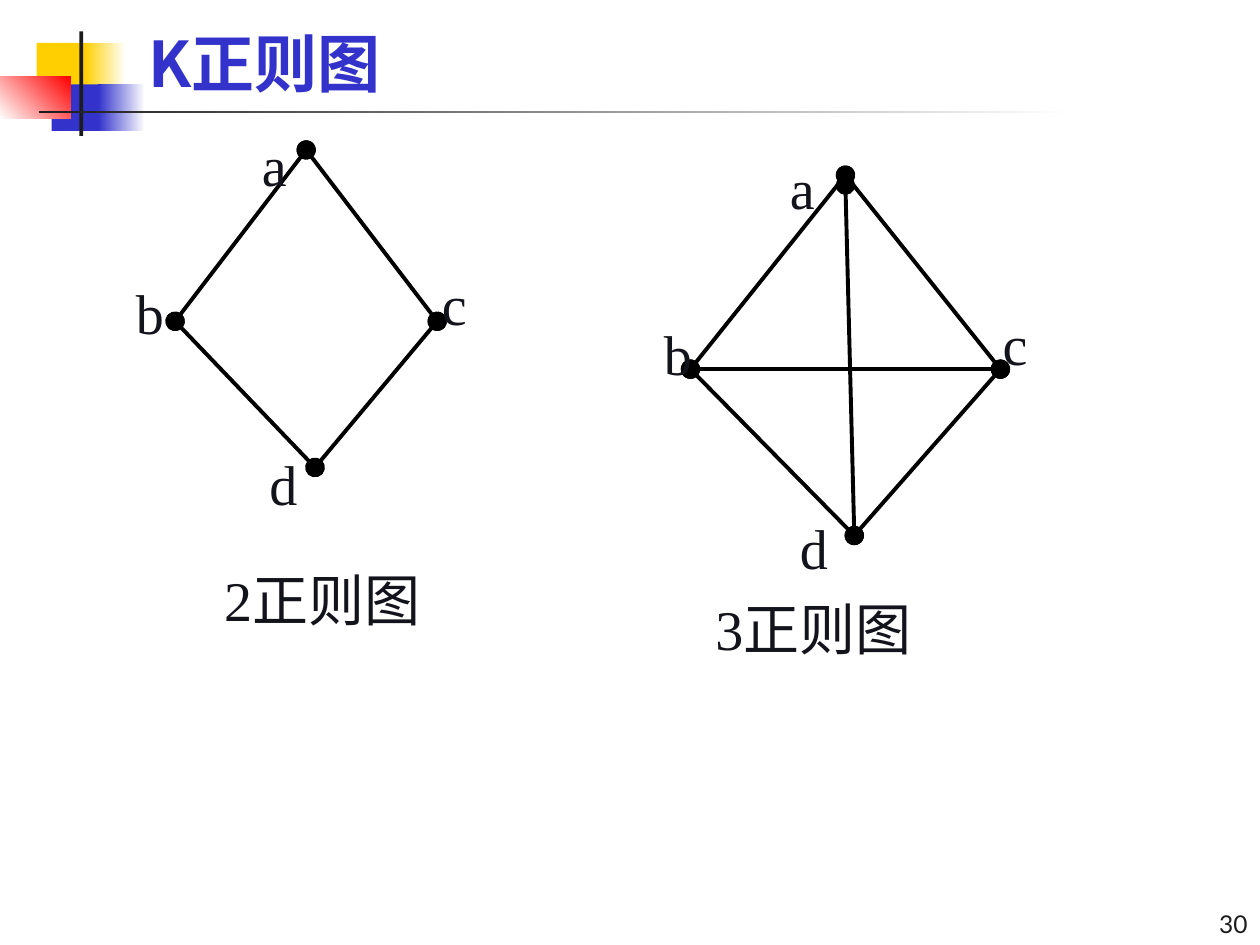
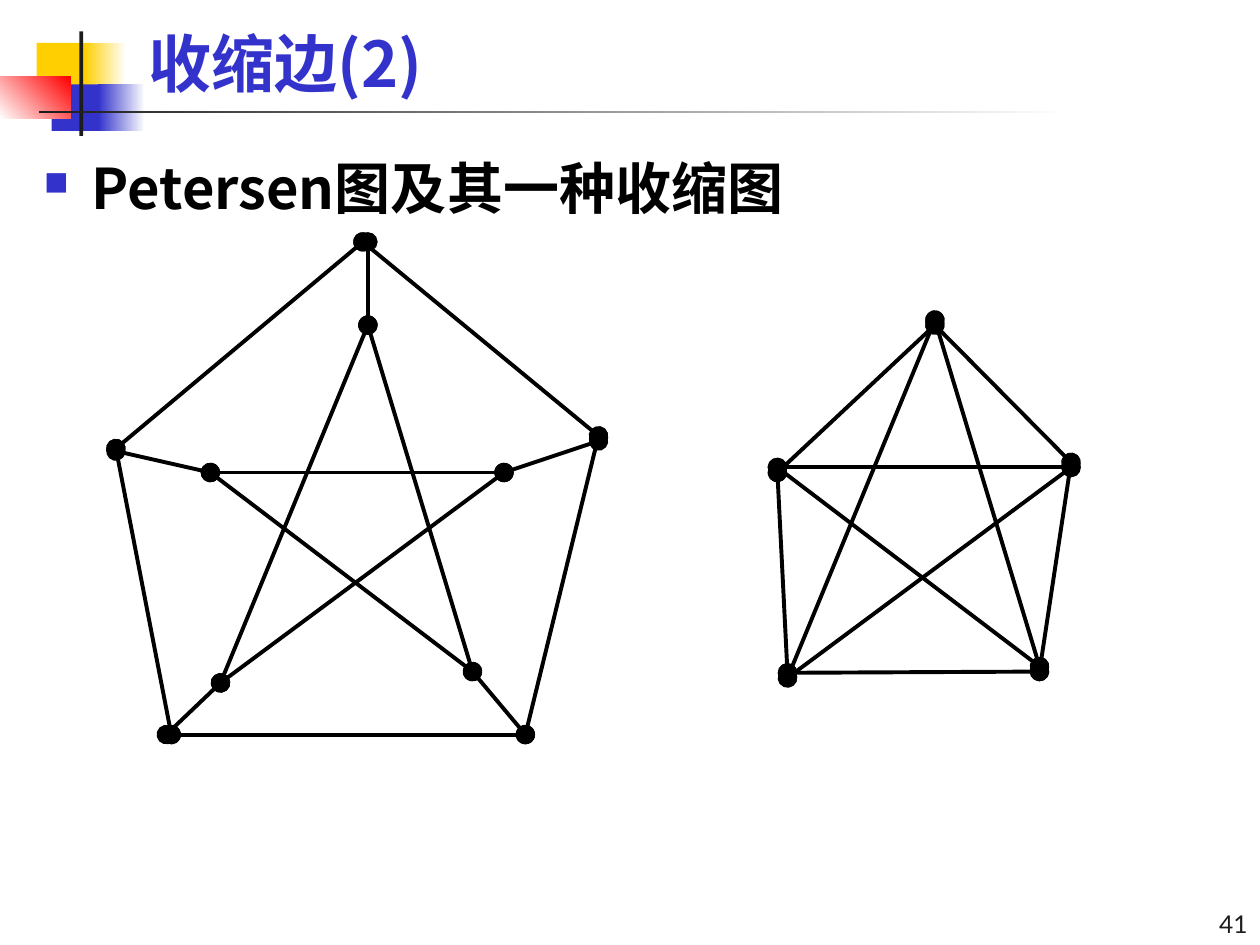
import pptx
import pptx.dml.color
import pptx.enum.shapes
import pptx.enum.text
import pptx.oxml.ns
import pptx.util
from lxml import etree

RGB = pptx.dml.color.RGBColor
BLUE = RGB(0x33, 0x33, 0xCC)
YELLOW = RGB(0xFF, 0xCF, 0x01)
RED = RGB(0xFF, 0x00, 0x00)
WHITE = RGB(0xFF, 0xFF, 0xFF)
BLACK = RGB(0x00, 0x00, 0x00)
CHARCOAL = RGB(0x1C, 0x1C, 0x1C)
INK = RGB(0x13, 0x13, 0x1B)

HEADING_FONT = "Noto Sans CJK SC"
LABEL_FONT = "Times New Roman"
NUMBER_FONT = "Lato"

COLUMNS, ROWS = 10, 7.5
CELL = pptx.util.Inches(1)
TEXT_ROW = 0.63
NUDGE = 0.04

ALIGN = pptx.enum.text.PP_ALIGN
ANCHOR = pptx.enum.text.MSO_ANCHOR
qn = pptx.oxml.ns.qn

CORNERS = ["top", "right", "se", "sw", "left"]
STAR = {"top": (1.25, 0), "right": (2.33, 1.17), "se": (2.08, 2.75),
        "sw": (0.08, 2.84), "left": (0, 1.17)}
PENTAGON = {"top": (1.96, 0), "right": (3.83, 1.54), "se": (3.25, 3.91),
            "sw": (0.44, 3.91), "left": (0, 1.64)}
RIM_NUDGES = {"top": (0, 1), "right": (0, -1), "se": (0, 1),
              "sw": (0, -1), "left": (0, 1)}
SPOKE_NUDGES = {"top": (1, 0), "right": (0, 1), "se": (0, 0),
                "sw": (-1, 0), "left": (0, 0.5)}


def cells(*values):
    """Convert grid columns or rows to slide lengths."""
    return [round(v * CELL) for v in values]


def shift(origin, point):
    """Move a point of a box to the coordinates around the box."""
    return origin[0] + point[0], origin[1] + point[1]


def shift_all(origin, points):
    """Move every named point of a box."""
    return {name: shift(origin, point) for name, point in points.items()}


def nudge_all(points, nudges):
    """Move each named point by its own number of nudges."""
    return {name: shift(point, (NUDGE * nudges[name][0], NUDGE * nudges[name][1]))
            for name, point in points.items()}


def cycle_edges(points, names, step=1):
    """Join every named point to the one that many steps further round."""
    return [(points[a], points[b]) for a, b in zip(names, names[step:] + names[:step])]


def add_text(shapes, box, text, font, size, color, bold=False,
             align=ALIGN.LEFT, anchor=ANCHOR.TOP):
    """Add a one-paragraph text box and return its paragraph."""
    tf = shapes.add_textbox(*cells(*box)).text_frame
    tf.word_wrap = True
    tf.vertical_anchor = anchor
    p = tf.paragraphs[0]
    p.text = text
    p.alignment = align
    p.font.name, p.font.size, p.font.bold = font, pptx.util.Pt(size), bold
    p.font.color.rgb = color
    latin = p._p.pPr.find(qn("a:defRPr")).find(qn("a:latin"))
    latin.addnext(etree.Element(qn("a:ea"), typeface=HEADING_FONT))
    return p


def add_block(shapes, box, start, end=None, angle=0):
    """Add a borderless rectangle with a solid or fading fill."""
    s = shapes.add_shape(pptx.enum.shapes.MSO_SHAPE.RECTANGLE, *cells(*box))
    s.shadow.inherit = False
    s.line.fill.background()
    if end is None:
        s.fill.solid()
        s.fill.fore_color.rgb = start
        return
    s.fill.gradient()
    s.fill.gradient_angle = angle
    for stop, color in zip(s.fill.gradient_stops, (start, end)):
        stop.color.rgb = color


def add_emblem(slide):
    """Place the coloured blocks and the two rules behind the title."""
    shapes = slide.shapes.add_group_shape().shapes
    add_block(shapes, (0.29, 0.34, 0.44, 0.38), YELLOW)
    add_block(shapes, (0.67, 0.34, 0.33, 0.38), YELLOW, WHITE)
    add_block(shapes, (0.41, 0.67, 0.42, 0.37), BLUE)
    add_block(shapes, (0.78, 0.67, 0.37, 0.37), BLUE, WHITE)
    add_block(shapes, (0, 0.61, 0.56, 0.33), WHITE, RED, 45)
    add_block(shapes, (0.63, 0.25, 0.03, 0.83), CHARCOAL)
    add_block(shapes, (0.31, 0.88, 8.19, 0.02), CHARCOAL, WHITE)


def add_base(prs, title, number):
    """Add a blank slide with emblem, title and slide number."""
    slide = prs.slides.add_slide(prs.slide_layouts[6])
    add_emblem(slide)
    add_text(slide.shapes, (COLUMNS - 1.33, ROWS - 0.42, 1.33, 0.42), str(number),
             NUMBER_FONT, 14, CHARCOAL, align=ALIGN.RIGHT, anchor=ANCHOR.BOTTOM)
    add_text(slide.shapes, (1.08, 0.17, 8.42, 0.67), title,
             HEADING_FONT, 36, BLUE, bold=True, anchor=ANCHOR.BOTTOM)
    return slide


def add_edges(shapes, origin, edges):
    """Draw edges with a large dot at each end, inside a box."""
    for start, end in edges:
        c = shapes.add_connector(pptx.enum.shapes.MSO_CONNECTOR.STRAIGHT,
                                 *cells(*shift(origin, start), *shift(origin, end)))
        c.line.color.rgb = BLACK
        c.line.width = pptx.util.Pt(2.25)
        ln = c.element.spPr.find(qn("a:ln"))
        for tag in ("a:headEnd", "a:tailEnd"):
            etree.SubElement(ln, qn(tag), type="oval", w="lg", len="lg")
        etree.SubElement(c.element.spPr, qn("a:effectLst"))


def add_graph(slide, origin, edges):
    """Place the edges of one graph as a group and return its shapes."""
    shapes = slide.shapes.add_group_shape().shapes
    add_edges(shapes, origin, edges)
    return shapes


def add_regular_graph(slide, origin, edges, labels, label_width, caption, caption_at):
    """Place a labelled regular graph and its caption in a box."""
    shapes = add_graph(slide, origin, edges)
    texts = [(name, at, label_width) for name, at in labels.items()]
    for text, at, width in texts + [(caption, caption_at, 2.58)]:
        add_text(shapes, (*shift(origin, at), width, TEXT_ROW), text, LABEL_FONT, 32, INK)


def add_two_regular(slide, origin):
    """Place the four-cycle in a box."""
    nodes = {"a": (1.45, 0.2), "b": (0.41, 1.56), "c": (2.49, 1.56), "d": (1.52, 2.72)}
    labels = {"a": (1, 0), "b": (0, 1.17), "c": (2.43, 1.1), "d": (1.06, 2.53)}
    add_regular_graph(slide, origin, cycle_edges(nodes, "abdc"), labels, 0.33,
                      "2正则图", (0.7, 3.45))


def add_three_regular(slide, origin):
    """Place the four-cycle with both diagonals in a box."""
    nodes = {"a": (1.54, 0.22), "b": (0.31, 1.76), "c": (2.77, 1.76), "d": (1.61, 3.08)}
    labels = {"a": (1, 0), "b": (0, 1.32), "c": (2.69, 1.24), "d": (1.08, 2.86)}
    diagonals = [(nodes["b"], nodes["c"]),
                 (shift(nodes["a"], (0, 2 * NUDGE)), nodes["d"])]
    add_regular_graph(slide, origin, cycle_edges(nodes, "abdc") + diagonals, labels, 0.39,
                      "3正则图", (0.41, 3.5))


def add_petersen(slide, origin):
    """Place a pentagon, the star inside it and the spokes between them."""
    star = shift_all((0.75, 0.66), STAR)
    spoke_ends = nudge_all(PENTAGON, SPOKE_NUDGES)
    spokes = [(star[name], spoke_ends[name]) for name in CORNERS]
    add_graph(slide, origin, cycle_edges(star, CORNERS, 2)
              + cycle_edges(PENTAGON, CORNERS) + spokes)


def add_contraction(slide, origin):
    """Place a star whose points are joined by a rim."""
    rim = nudge_all(STAR, RIM_NUDGES)
    add_graph(slide, origin, cycle_edges(STAR, CORNERS, 2) + cycle_edges(rim, CORNERS))


def add_bullet(slide, box, text):
    """Place a bold line of text with a square bullet."""
    p = add_text(slide.shapes, box, text, HEADING_FONT, 32, BLACK, bold=True,
                 align=ALIGN.JUSTIFY)
    pPr = p._p.pPr
    indent = cells(0.38)[0]
    pPr.set("marL", str(indent))
    pPr.set("indent", str(-indent))
    color = etree.Element(qn("a:buClr"))
    etree.SubElement(color, qn("a:srgbClr"), val=str(BLUE))
    size = etree.Element(qn("a:buSzPct"), val="60000")
    mark = etree.Element(qn("a:buChar"), char="■")
    for element in (color, size, mark):
        pPr.find(qn("a:defRPr")).addprevious(element)


def build_regular_slide(prs):
    """Build the slide with the 2-regular and 3-regular graphs."""
    slide = add_base(prs, "K正则图", 30)
    add_two_regular(slide, (0.98, 0.99))
    add_three_regular(slide, (5.17, 1.17))


def build_contraction_slide(prs):
    """Build the slide with the Petersen graph and its contraction."""
    slide = add_base(prs, "收缩边(2)", 41)
    add_contraction(slide, (6.17, 2.54))
    add_petersen(slide, (0.92, 1.92))
    add_bullet(slide, (0.25, 1.17, 9.33, TEXT_ROW), "Petersen图及其一种收缩图")


def main():
    """Build and save the presentation."""
    prs = pptx.Presentation()
    prs.slide_width, prs.slide_height = cells(COLUMNS, ROWS)
    build_regular_slide(prs)
    build_contraction_slide(prs)
    prs.save("out.pptx")


if __name__ == "__main__":
    main()
